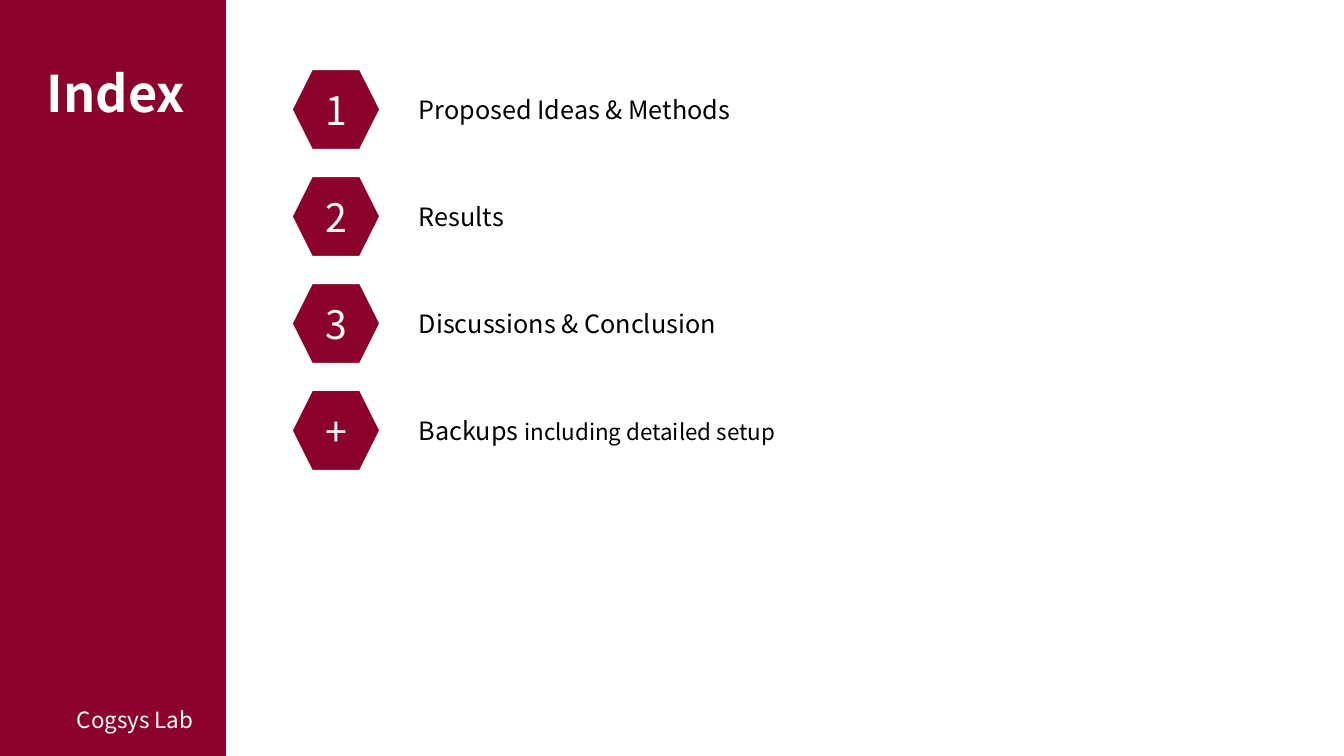
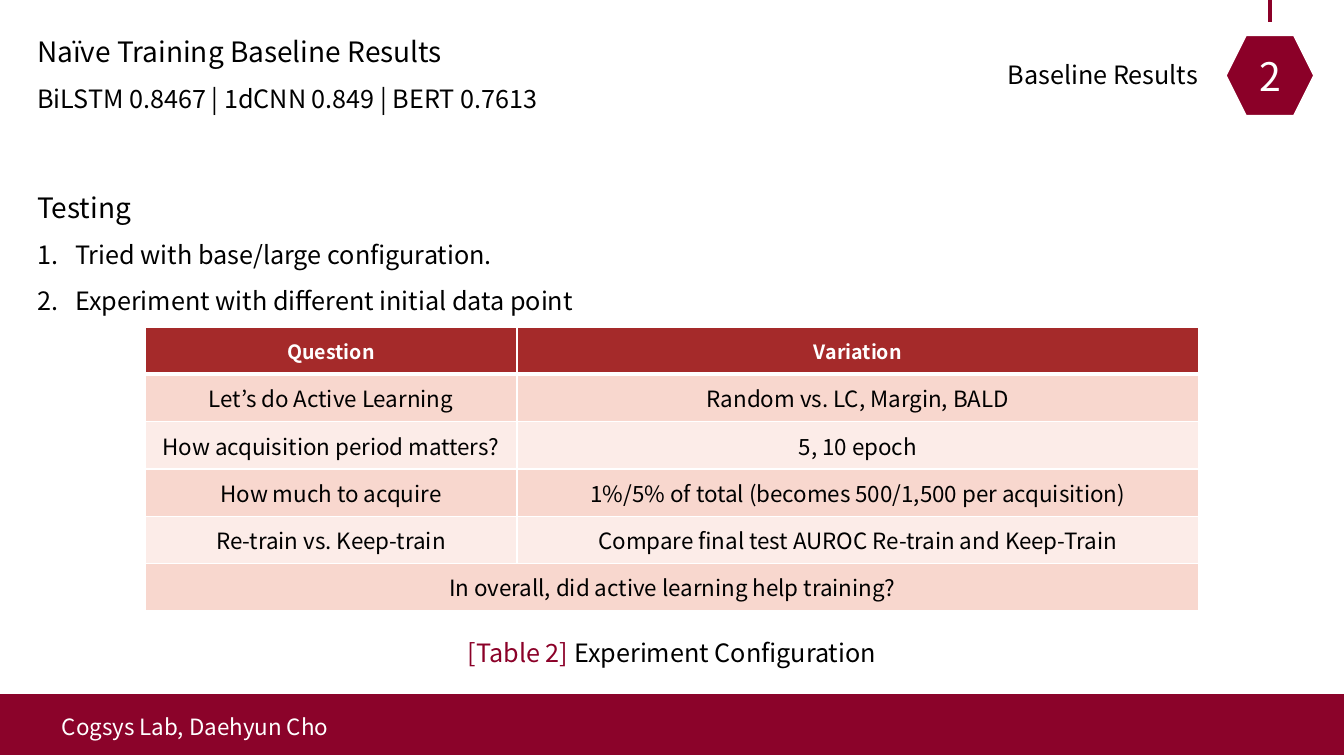
from lxml import etree
from pptx import Presentation
from pptx.dml.color import RGBColor
from pptx.enum.shapes import MSO_CONNECTOR, MSO_SHAPE
from pptx.enum.text import MSO_ANCHOR, MSO_AUTO_SIZE, PP_ALIGN
from pptx.oxml.ns import qn
from pptx.util import Emu, Pt

RECTANGLE, HEXAGON = MSO_SHAPE.RECTANGLE, MSO_SHAPE.HEXAGON
STRAIGHT = MSO_CONNECTOR.STRAIGHT
TOP, MIDDLE = MSO_ANCHOR.TOP, MSO_ANCHOR.MIDDLE
LEFT, CENTER, RIGHT = PP_ALIGN.LEFT, PP_ALIGN.CENTER, PP_ALIGN.RIGHT
NO_AUTOFIT = MSO_AUTO_SIZE.NONE

WIDTH, HEIGHT = 1344, 756
EMU_PER_PX = 12192000 / WIDTH
FONT = "Noto Sans CJK KR"
BAND, ACCENT = "8B032A", "8B0028"
WHITE, BLACK = "FFFFFF", "000000"
TABLE_HEAD, TABLE_BANDS = "A52A2A", ("FCECE8", "F8D7CE")
BADGE_WIDTH, BADGE_HEIGHT = 102, 93
LABEL_HEIGHT = 40
LIST_INDENT = 38


def px(length):
    return Emu(round(length * EMU_PER_PX))


def rgb(color):
    return RGBColor.from_string(color)


def number(paragraph):
    """Make the paragraph an item of a 1. 2. 3. list."""
    properties = paragraph._p.get_or_add_pPr()
    properties.set("marL", str(px(LIST_INDENT)))
    properties.set("indent", str(-px(LIST_INDENT)))
    etree.SubElement(properties, qn("a:buFont"), typeface="+mj-lt")
    etree.SubElement(properties, qn("a:buAutoNum"), type="arabicPeriod")


def unbullet(paragraph):
    properties = paragraph._p.get_or_add_pPr()
    properties.set("marL", "0")
    properties.set("indent", "0")
    etree.SubElement(properties, qn("a:buNone"))


def write(frame, text, *, size=18, color=BLACK, bold=False, align=LEFT,
          spacing=1.0, numbered=False, same_line=False):
    """Add a paragraph to the frame, or a run to its last paragraph."""
    paragraph = frame.paragraphs[-1]
    if not same_line:
        if paragraph.runs:
            paragraph = frame.add_paragraph()
        (number if numbered else unbullet)(paragraph)
        paragraph.alignment = align
        paragraph.line_spacing = spacing
        paragraph.space_before = Pt(0)
    run = paragraph.add_run()
    run.text = text
    run.font.name = FONT
    run.font.size = Pt(size)
    run.font.bold = bold
    run.font.color.rgb = rgb(color)


def border(cell, **widths):
    """Draw white cell borders; the keywords L, R, T and B are points."""
    properties = cell._tc.get_or_add_tcPr()
    for index, (side, width) in enumerate(widths.items()):
        line = etree.Element(qn(f"a:ln{side}"), w=str(Pt(width)))
        fill = etree.SubElement(line, qn("a:solidFill"))
        etree.SubElement(fill, qn("a:srgbClr"), val=WHITE)
        properties.insert(index, line)


class Deck:
    """Holds the presentation, its style and the current slide."""

    def __init__(self):
        self.presentation = Presentation()
        self.presentation.slide_width = px(WIDTH)
        self.presentation.slide_height = px(HEIGHT)
        self.slide = None

    def new_slide(self, layout_name):
        layout = self.presentation.slide_layouts.get_by_name(layout_name)
        self.slide = self.presentation.slides.add_slide(layout)

    def frame(self, shape, anchor):
        frame = shape.text_frame
        frame.word_wrap = True
        frame.auto_size = NO_AUTOFIT
        frame.vertical_anchor = anchor
        return frame

    def placeholder(self, index, left, top, width, height, anchor=TOP):
        shape = self.slide.placeholders[index]
        shape.left, shape.top = px(left), px(top)
        shape.width, shape.height = px(width), px(height)
        return self.frame(shape, anchor)

    def text(self, left, top, width, text, height=LABEL_HEIGHT, anchor=TOP,
             **style):
        box = self.slide.shapes.add_textbox(px(left), px(top), px(width), px(height))
        frame = self.frame(box, anchor)
        write(frame, text, **style)
        return frame

    def shape(self, kind, left, top, width, height, color):
        shape = self.slide.shapes.add_shape(
            kind, px(left), px(top), px(width), px(height))
        shape.shadow.inherit = False
        shape.fill.solid()
        shape.fill.fore_color.rgb = rgb(color)
        shape.line.fill.background()
        return shape

    def band(self, left, top, width, height):
        """Add a coloured band behind everything else on the slide."""
        shape = self.shape(RECTANGLE, left, top, width, height, BAND)
        self.slide.shapes._spTree.insert(2, shape._element)

    def badge(self, left, top, text, color=BAND):
        shape = self.shape(HEXAGON, left, top, BADGE_WIDTH, BADGE_HEIGHT, color)
        shape.line.color.rgb = rgb(WHITE)
        shape.line.width = Pt(10)
        write(self.frame(shape, MIDDLE), text, size=28, color=WHITE, align=CENTER)

    def footer(self, left, top, text):
        self.text(left, top, 287, text, height=37, anchor=MIDDLE, size=16, color=WHITE)

    def line(self, start_x, start_y, end_x, end_y, color, width):
        line = self.slide.shapes.add_connector(
            STRAIGHT, px(start_x), px(start_y), px(end_x), px(end_y))
        line.line.color.rgb = rgb(color)
        line.line.width = Pt(width)
        etree.SubElement(line._element.spPr, qn("a:effectLst"))

    def table(self, left, top, column_widths, height, rows):
        """Add a banded table; a row with one text spans all columns."""
        table = self.slide.shapes.add_table(
            len(rows), len(column_widths), px(left), px(top),
            px(sum(column_widths)), px(height)).table
        table.horz_banding = False
        for column, width in zip(table.columns, column_widths):
            column.width = px(width)
        for row_index, texts in enumerate(rows):
            is_head = row_index == 0
            cells = table.rows[row_index].cells
            for cell in cells:
                cell.fill.solid()
                cell.fill.fore_color.rgb = rgb(
                    TABLE_HEAD if is_head else TABLE_BANDS[row_index % 2])
                border(cell, L=1, R=1, T=3 if row_index == 1 else 1,
                       B=3 if is_head else 1)
            if len(texts) == 1:
                table.cell(row_index, 0).merge(
                    table.cell(row_index, len(column_widths) - 1))
            for column_index, text in enumerate(texts):
                cell = table.cell(row_index, column_index)
                cell.vertical_anchor = MIDDLE
                write(cell.text_frame, text, size=14 if is_head else 16,
                      color=WHITE if is_head else BLACK, bold=is_head, align=CENTER)


def add_index(deck):
    deck.new_slide("Title Only")
    deck.band(0, 0, 226, HEIGHT)
    title = deck.placeholder(0, 22, 53, 188, 86, MIDDLE)
    write(title, "Index", size=36, color=WHITE, bold=True, align=CENTER, spacing=0.9)
    entries = [
        ("1", "Proposed Ideas & Methods", ""),
        ("2", "Results", ""),
        ("3", "Discussions & Conclusion", ""),
        ("+", "Backups ", "including detailed setup"),
    ]
    for index, (mark, label, detail) in enumerate(entries):
        top = 63 + 107 * index
        deck.badge(285, top, mark)
        frame = deck.text(409, top + 26, 422, label)
        if detail:
            write(frame, detail, size=16, same_line=True)
    deck.footer(67, 701, "Cogsys Lab")


def add_baseline_results(deck):
    deck.new_slide("Title and Content")
    deck.band(0, 694, WIDTH, 61)
    title = deck.placeholder(0, 27, 13, 672, 103)
    write(title, "Naïve Training Baseline Results", size=20, spacing=1.5)
    write(title, "BiLSTM 0.8467 | 1dCNN 0.849 | BERT 0.7613", spacing=1.5)

    deck.line(1270, 0, 1270, 29, ACCENT, 3)
    deck.badge(1219, 29, "2", ACCENT)
    deck.text(885, 54, 323, "Baseline Results", align=RIGHT)

    body = deck.placeholder(1, 27, 169, 1206, 148)
    write(body, "Testing", size=20, spacing=1.5)
    for item in ("Tried with base/large configuration.",
                 "Experiment with different initial data point"):
        write(body, item, spacing=1.5, numbered=True)

    deck.table(145, 327, (372, 682), 284, [
        ("Question", "Variation"),
        ("Let’s do Active Learning", "Random vs. LC, Margin, BALD"),
        ("How acquisition period matters?", "5, 10 epoch"),
        ("How much to acquire", "1%/5% of total (becomes 500/1,500 per acquisition)"),
        ("Re-train vs. Keep-train", "Compare final test AUROC Re-train and Keep-Train"),
        ("In overall, did active learning help training?",),
    ])
    caption = deck.text(336, 632, 672, "[Table 2]", color=ACCENT, align=CENTER)
    write(caption, " Experiment Configuration", same_line=True)
    deck.footer(52, 708, "Cogsys Lab, Daehyun Cho")


def main():
    deck = Deck()
    add_index(deck)
    add_baseline_results(deck)
    deck.presentation.save("out.pptx")


if __name__ == "__main__":
    main()
